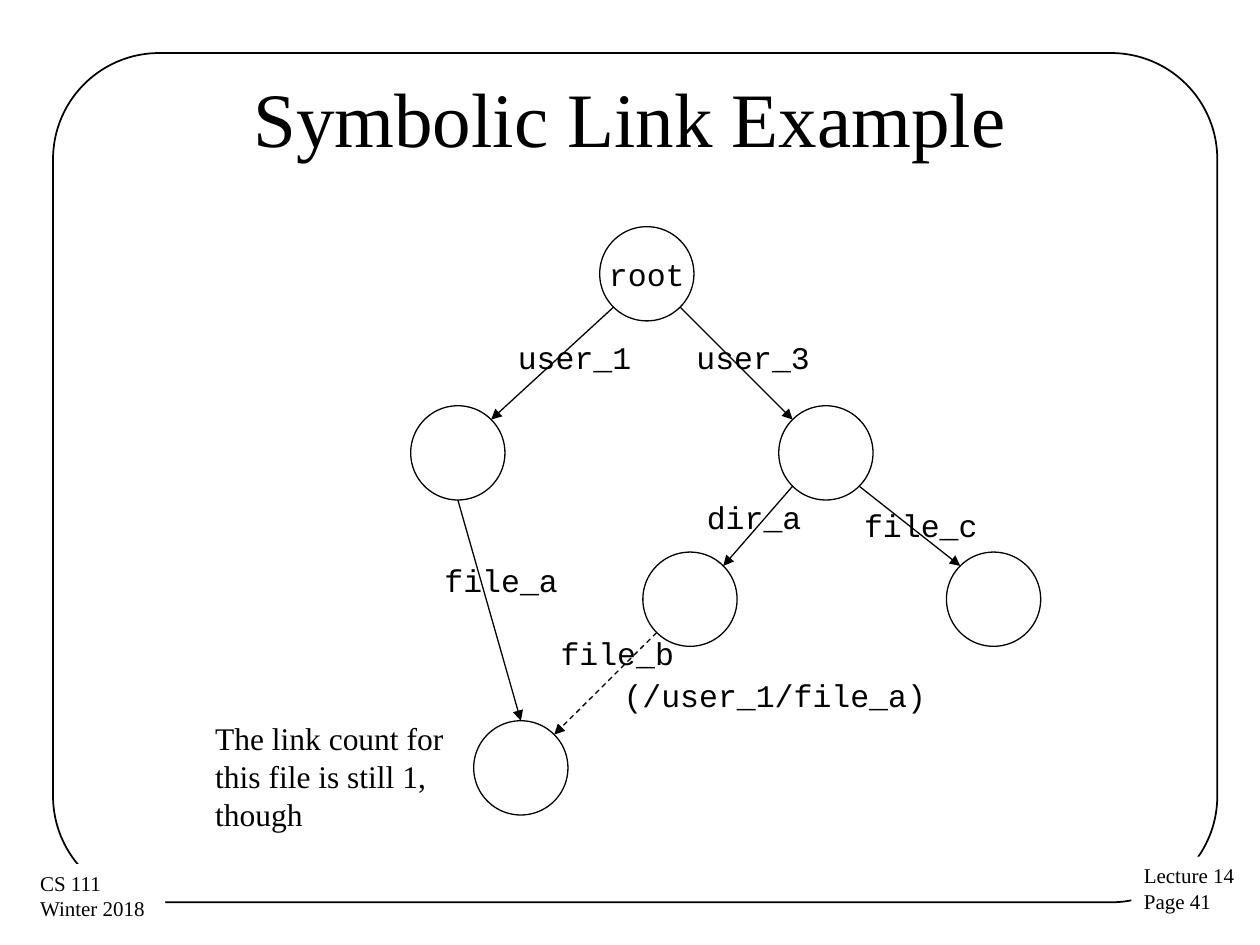
import math
import pptx
import pptx.util
import pptx.dml.color
import pptx.enum.dml
import pptx.enum.shapes
import pptx.enum.text
import pptx.oxml.ns
import lxml.etree

Cm = pptx.util.Cm
Pt = pptx.util.Pt
SHAPE = pptx.enum.shapes.MSO_SHAPE
ANCHOR = pptx.enum.text.MSO_ANCHOR
ALIGN = pptx.enum.text.PP_ALIGN
BLACK = pptx.dml.color.RGBColor(0, 0, 0)
WHITE = pptx.dml.color.RGBColor(255, 255, 255)
SERIF, MONO = "Times New Roman", "Courier New"


def add_outlined(kind, left, top, width, height, line_width, fill=None):
    shape = slide.shapes.add_shape(kind, Cm(left), Cm(top), Cm(width), Cm(height))
    shape.shadow.inherit = False
    if fill is None:
        shape.fill.background()
    else:
        shape.fill.solid()
        shape.fill.fore_color.rgb = fill
    if line_width:
        shape.line.color.rgb = BLACK
        shape.line.width = Pt(line_width)
    else:
        shape.line.fill.background()
    return shape


def write(frame, lines, size, font, align=ALIGN.LEFT, anchor=ANCHOR.TOP, wrap=True):
    frame.word_wrap = wrap
    frame.vertical_anchor = anchor
    for number, line in enumerate(lines):
        paragraph = frame.paragraphs[0] if number == 0 else frame.add_paragraph()
        paragraph.alignment = align
        run = paragraph.add_run()
        run.text = line
        run.font.size = Pt(size)
        run.font.name = font
        run.font.color.rgb = BLACK


deck = pptx.Presentation()
deck.slide_width, deck.slide_height = Cm(25.4), Cm(19.05)
slide = deck.slides.add_slide(deck.slide_layouts[5])

# Title
title = slide.shapes.title
title.left, title.top, title.width, title.height = Cm(1.27), Cm(0.76), Cm(22.86), Cm(3.18)
write(title.text_frame, ["Symbolic Link Example"], 44, SERIF, ALIGN.CENTER, ANCHOR.MIDDLE)

# Rounded frame with the two footers that interrupt it
border = add_outlined(SHAPE.ROUNDED_RECTANGLE, 1.07, 1.07, 23.47, 17.12, 1)
border.adjustments[0] = 0.125
footers = [
    (22.81, 17.27, 2.36, ["Lecture 14", "Page 41"]),
    (0.56, 17.42, 2.77, ["CS 111", "Winter 2018 "]),
]
for left, top, width, lines in footers:
    footer = add_outlined(SHAPE.RECTANGLE, left, top, width, 1.3, 0, WHITE)
    write(footer.text_frame, lines, 12, SERIF, wrap=False)

# Tree nodes: centre of each circle
RADIUS = 0.95
nodes = {
    "root": (13.04, 5.52),
    "user_1": (9.23, 9.13),
    "user_3": (16.65, 9.13),
    "file_c": (20.03, 12.08),
    "file_a": (10.5, 15.48),
    "dir_a": (13.91, 12.08),
}

# Links: parent, child, horizontal side left on the parent (0 is straight down), dashed
links = [
    ("root", "user_1", -1, False),
    ("root", "user_3", 1, False),
    ("user_3", "dir_a", -1, False),
    ("user_3", "file_c", 1, False),
    ("user_1", "file_a", 0, False),
    ("dir_a", "file_a", -1, True),
]
for parent, child, side, dashed in links:
    reach = RADIUS / math.hypot(side, 1)
    (x1, y1), (x2, y2) = nodes[parent], nodes[child]
    link = slide.shapes.add_connector(
        pptx.enum.shapes.MSO_CONNECTOR.STRAIGHT,
        Cm(x1 + side * reach), Cm(y1 + reach), Cm(x2 - side * reach), Cm(y2 - reach))
    link.line.color.rgb = BLACK
    link.line.width = Pt(0.75)
    if dashed:
        link.line.dash_style = pptx.enum.dml.MSO_LINE.DASH
    outline = link.line._get_or_add_ln()
    lxml.etree.SubElement(outline, pptx.oxml.ns.qn("a:tailEnd"), type="triangle")
    lxml.etree.SubElement(link._element.spPr, pptx.oxml.ns.qn("a:effectLst"))

# Link names and the note
captions = [
    ("user_1", 10.19, 6.68, 2.97, 1.02, MONO),
    ("user_3", 13.79, 6.68, 2.97, 1.02, MONO),
    ("dir_a", 14.0, 9.91, 2.97, 1.02, MONO),
    ("file_c", 17.17, 10.08, 2.97, 1.02, MONO),
    ("file_a", 8.71, 11.18, 2.97, 1.02, MONO),
    ("file_b", 11.05, 12.65, 2.97, 1.02, MONO),
    ("(/user_1/file_a)", 12.32, 13.51, 7.42, 1.02, MONO),
    ("The link count for this file is still 1, though", 4.09, 14.38, 6.15, 2.57, SERIF),
]
for text, left, top, width, height, font in captions:
    caption = slide.shapes.add_textbox(Cm(left), Cm(top), Cm(width), Cm(height))
    write(caption.text_frame, [text], 18, font)

# Circles
for name, (x, y) in nodes.items():
    node = add_outlined(SHAPE.OVAL, x - RADIUS, y - RADIUS, 2 * RADIUS, 2 * RADIUS, 0.75,
                        WHITE if name == "dir_a" else None)
    if name == "root":
        write(node.text_frame, [name], 18, MONO, ALIGN.CENTER, ANCHOR.MIDDLE, wrap=False)

deck.save("out.pptx")
